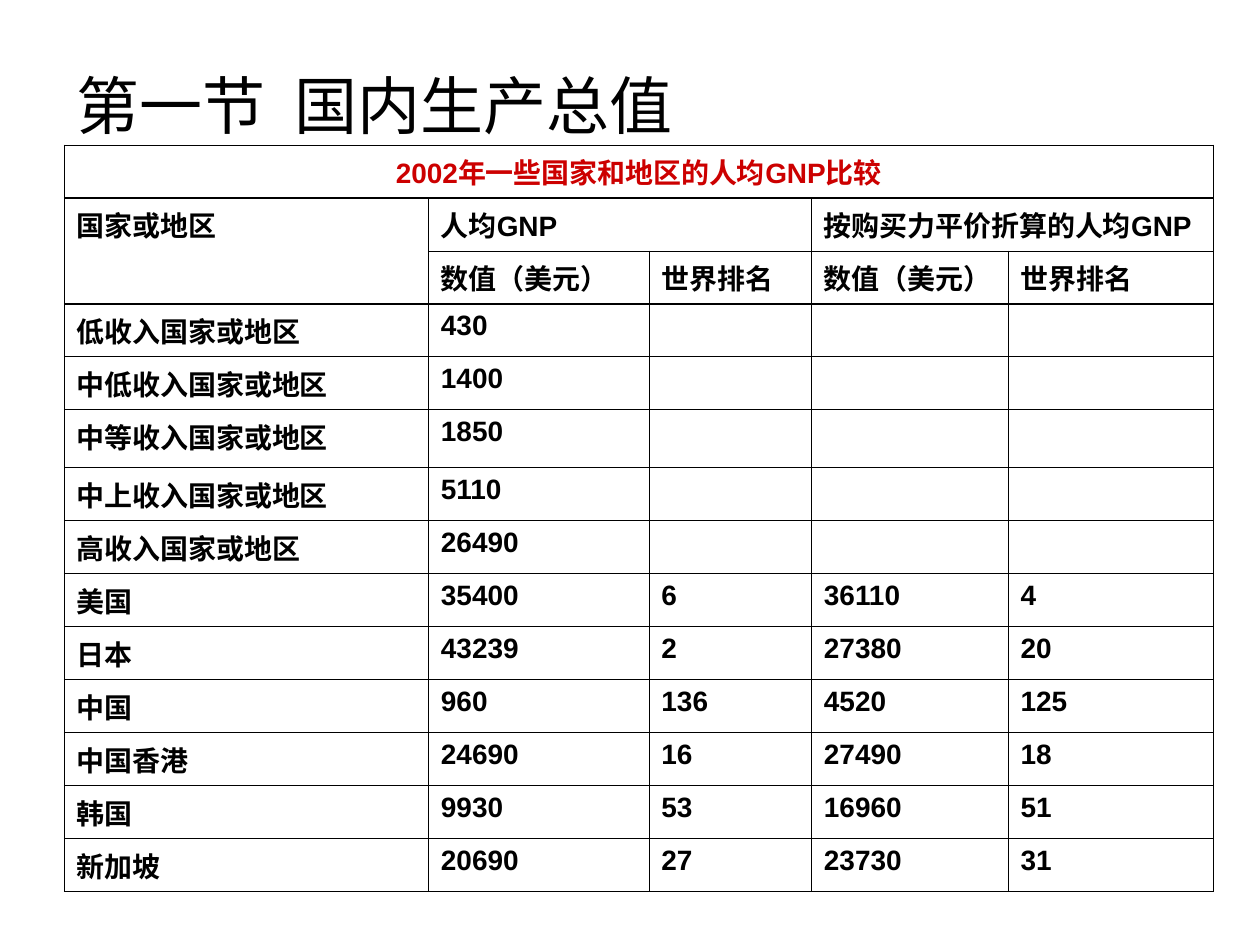
from typing import NamedTuple

from lxml.etree import SubElement
from pptx import Presentation
from pptx.dml.color import RGBColor
from pptx.enum.text import MSO_ANCHOR, PP_ALIGN
from pptx.oxml.ns import qn
from pptx.util import Inches, Pt

FONT = "Arial"
BLACK, RED = "000000", "CC0000"
THIN, NORMAL, THICK = 0.34, 0.45, 0.96

COL_WIDTHS = [2.89, 1.75, 1.29, 1.56, 1.63]
ROW_HEIGHTS = [0.37, 0.37, 0.38, 0.42, 0.42, 0.46] + [0.42] * 7 + [0.37]
ROWS = [
    ["2002年一些国家和地区的人均GNP比较"],
    ["国家或地区", "人均GNP", "", "按购买力平价折算的人均GNP"],
    ["", "数值（美元）", "世界排名", "数值（美元）", "世界排名"],
    ["低收入国家或地区", "430"],
    ["中低收入国家或地区", "1400"],
    ["中等收入国家或地区", "1850"],
    ["中上收入国家或地区", "5110"],
    ["高收入国家或地区", "26490"],
    ["美国", "35400", "6", "36110", "4"],
    ["日本", "43239", "2", "27380", "20"],
    ["中国", "960", "136", "4520", "125"],
    ["中国香港", "24690", "16", "27490", "18"],
    ["韩国", "9930", "53", "16960", "51"],
    ["新加坡", "20690", "27", "23730", "31"],
]
# Widths of the horizontal rules that differ from NORMAL, by rule index
RULES = {0: THIN, 1: THICK, 3: THICK, len(ROWS): THIN}


class Span(NamedTuple):
    top: int
    left: int
    bottom: int
    right: int


SPANS = [Span(0, 0, 0, 4), Span(1, 0, 2, 0), Span(1, 1, 1, 2), Span(1, 3, 1, 4)]


def rgb(color: str) -> RGBColor:
    return RGBColor.from_string(color)


def write(tf, text: str, *, size: float, color: str = BLACK, bold: bool = False,
          align=PP_ALIGN.LEFT) -> None:
    p = tf.paragraphs[0]
    p.alignment = align
    r = p.add_run()
    r.text = text
    r.font.name, r.font.size, r.font.bold = FONT, Pt(size), bold
    r.font.color.rgb = rgb(color)


def set_borders(cell, top: float, bottom: float) -> None:
    tc_pr = cell._tc.get_or_add_tcPr()
    for side, width in (("L", THIN), ("R", THIN), ("T", top), ("B", bottom)):
        ln = SubElement(tc_pr, qn(f"a:ln{side}"), w=str(int(Pt(width))))
        fill = SubElement(ln, qn("a:solidFill"))
        SubElement(fill, qn("a:srgbClr"), val=BLACK)


def add_gnp_table(slide) -> None:
    frame = slide.shapes.add_table(len(ROWS), len(COL_WIDTHS), Inches(0.51), Inches(1.15),
                                   Inches(sum(COL_WIDTHS)), Inches(sum(ROW_HEIGHTS)))
    table = frame.table
    table.first_row = table.horz_banding = False
    for column, width in zip(table.columns, COL_WIDTHS):
        column.width = Inches(width)
    for row, height in zip(table.rows, ROW_HEIGHTS):
        row.height = Inches(height)
    for s in SPANS:
        table.cell(s.top, s.left).merge(table.cell(s.bottom, s.right))

    for i, texts in enumerate(ROWS):
        for j in range(len(COL_WIDTHS)):
            cell = table.cell(i, j)
            end = i + (cell.span_height if cell.is_merge_origin else 1)
            set_borders(cell, RULES.get(i, NORMAL), RULES.get(end, NORMAL))
            cell.fill.background()
            if j < len(texts) and texts[j]:
                heading = i == 0
                write(cell.text_frame, texts[j], size=16, bold=True,
                      color=RED if heading else BLACK,
                      align=PP_ALIGN.CENTER if heading else PP_ALIGN.LEFT)


def main() -> None:
    prs = Presentation()
    prs.slide_width, prs.slide_height = Inches(10), Inches(7.5)
    slide = prs.slides.add_slide(prs.slide_layouts[5])

    title = slide.shapes.title
    title.left, title.top = Inches(0.51), Inches(0.36)
    title.width, title.height = Inches(9), Inches(0.94)
    title.text_frame.vertical_anchor = MSO_ANCHOR.MIDDLE
    write(title.text_frame, "第一节  国内生产总值", size=36)

    add_gnp_table(slide)
    prs.save("out.pptx")


if __name__ == "__main__":
    main()
